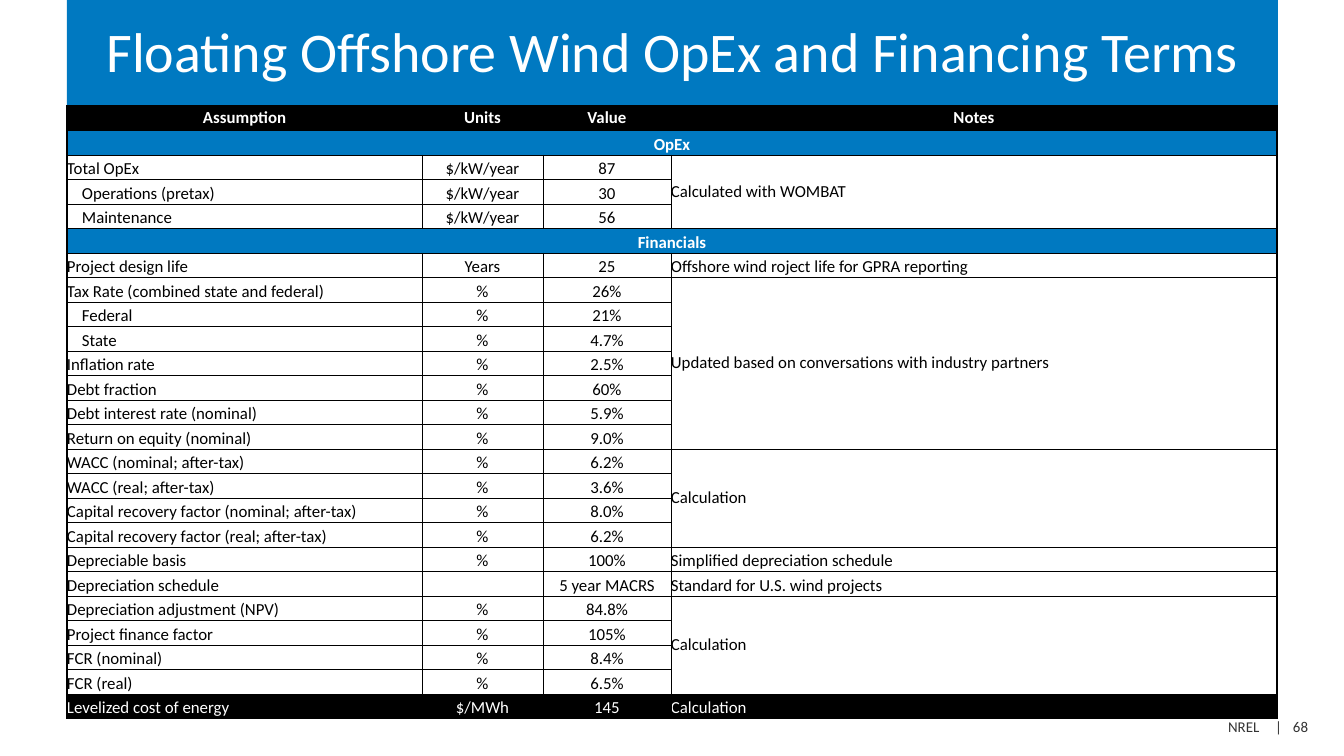
from lxml import etree
from pptx import Presentation, util as u
from pptx.dml.color import RGBColor
from pptx.enum import text
from pptx.oxml import ns

FONT = "Calibri"
BLUE, BLACK, WHITE, GREY = "0079C1", "000000", "FFFFFF", "333333"
LEFT, CENTER, RIGHT = text.PP_ALIGN.LEFT, text.PP_ALIGN.CENTER, text.PP_ALIGN.RIGHT
MIDDLE, BOTTOM = text.MSO_ANCHOR.MIDDLE, text.MSO_ANCHOR.BOTTOM

COLUMNS = [355, 121, 128, 606]
INDENT = 15
HEADER = ("Assumption", "Units", "Value", "Notes")
TOTAL = ("Levelized cost of energy", "$/MWh", "145", "Calculation")
SUBITEMS = {"Operations (pretax)", "Maintenance", "Federal", "State"}
SECTIONS = [
    ("OpEx", [
        ("Calculated with WOMBAT", [
            ("Total OpEx", "$/kW/year", "87"),
            ("Operations (pretax)", "$/kW/year", "30"),
            ("Maintenance", "$/kW/year", "56"),
        ]),
    ]),
    ("Financials", [
        ("Offshore wind roject life for GPRA reporting", [
            ("Project design life", "Years", "25"),
        ]),
        ("Updated based on conversations with industry partners", [
            ("Tax Rate (combined state and federal)", "%", "26%"),
            ("Federal", "%", "21%"),
            ("State", "%", "4.7%"),
            ("Inflation rate", "%", "2.5%"),
            ("Debt fraction", "%", "60%"),
            ("Debt interest rate (nominal)", "%", "5.9%"),
            ("Return on equity (nominal)", "%", "9.0%"),
        ]),
        ("Calculation", [
            ("WACC (nominal; after-tax)", "%", "6.2%"),
            ("WACC (real; after-tax)", "%", "3.6%"),
            ("Capital recovery factor (nominal; after-tax)", "%", "8.0%"),
            ("Capital recovery factor (real; after-tax)", "%", "6.2%"),
        ]),
        ("Simplified depreciation schedule", [
            ("Depreciable basis", "%", "100%"),
        ]),
        ("Standard for U.S. wind projects", [
            ("Depreciation schedule", "", "5 year MACRS"),
        ]),
        ("Calculation", [
            ("Depreciation adjustment (NPV)", "%", "84.8%"),
            ("Project finance factor", "%", "105%"),
            ("FCR (nominal)", "%", "8.4%"),
            ("FCR (real)", "%", "6.5%"),
        ]),
    ]),
]


def px(n):
    return u.Emu(round(n * 914400 / 134.4))


def color(value):
    return RGBColor.from_string(value)


def add_run(p, words, size, fill, bold=False):
    r = p.add_run()
    r.text = words
    r.font.name = FONT
    r.font.size = u.Pt(size)
    r.font.bold = bold
    r.font.color.rgb = color(fill)


def set_margins(item, left, top, right, bottom):
    item.margin_left, item.margin_top = px(left), px(top)
    item.margin_right, item.margin_bottom = px(right), px(bottom)


def add_title(s, x, y, w, h):
    sp = s.shapes.title
    sp.left, sp.top, sp.width, sp.height = px(x), px(y), px(w), px(h)
    sp.fill.solid()
    sp.fill.fore_color.rgb = color(BLUE)
    tf = sp.text_frame
    tf.word_wrap = True
    tf.auto_size = text.MSO_AUTO_SIZE.NONE
    tf.vertical_anchor = MIDDLE
    set_margins(tf, 13, 17, 13, 7)
    p = tf.paragraphs[0]
    p.alignment = CENTER
    p.line_spacing = u.Pt(28)
    add_run(p, "Floating Offshore Wind OpEx and Financing Terms", 30, WHITE)


def add_footer(s, x, y, w, h):
    tf = s.shapes.add_textbox(px(x), px(y), px(w), px(h)).text_frame
    tf.word_wrap = True
    tf.vertical_anchor = MIDDLE
    set_margins(tf, 242, 7, 0, 7)
    p = tf.paragraphs[0]
    tabs = etree.SubElement(p._p.get_or_add_pPr(), ns.qn("a:tabLst"))
    for stop in (47, 65):
        etree.SubElement(tabs, ns.qn("a:tab"), pos=str(px(stop)), algn="l")
    add_run(p, "NREL\t|\t68", 8, GREY)


def set_borders(cell, weights):
    tc_pr = cell._tc.get_or_add_tcPr()
    for side, weight in zip("LRTB", weights):
        ln = etree.SubElement(tc_pr, ns.qn(f"a:ln{side}"), w=str(u.Pt(weight)))
        fill = etree.SubElement(ln, ns.qn("a:solidFill"))
        etree.SubElement(fill, ns.qn("a:srgbClr"), val=BLACK)


def fill_cell(cell, words, align, anchor=BOTTOM, ink=BLACK, fill=None, bold=False):
    cell.vertical_anchor = anchor
    cell.margin_left = px(INDENT if words in SUBITEMS else 0)
    if fill:
        cell.fill.solid()
        cell.fill.fore_color.rgb = color(fill)
    p = cell.text_frame.paragraphs[0]
    p.alignment = align
    if words:
        add_run(p, words, 9, ink, bold)


def prepare_cells(tbl):
    last_row, last_col = len(tbl.rows) - 1, len(tbl.columns) - 1
    for i in range(last_row + 1):
        for j in range(last_col + 1):
            cell = tbl.cell(i, j)
            end = j + cell.span_width - 1 if cell.is_merge_origin else j
            edges = (j == 0, end == last_col, i == 0, i == last_row)
            set_borders(cell, [1 if edge else 0.5 for edge in edges])
            set_margins(cell, 0, 0, 0, 0)
            cell.fill.background()
            p = cell.text_frame.paragraphs[0]
            etree.SubElement(p._p, ns.qn("a:endParaRPr"), sz="900")


def merge_cells(tbl):
    row = 1
    for _, groups in SECTIONS:
        tbl.cell(row, 0).merge(tbl.cell(row, 3))
        row += 1
        for _, items in groups:
            if len(items) > 1:
                tbl.cell(row, 3).merge(tbl.cell(row + len(items) - 1, 3))
            row += len(items)


def add_assumptions(s, x, y, w, h):
    count = 2 + sum(1 + sum(len(items) for _, items in groups)
                    for _, groups in SECTIONS)
    tbl = s.shapes.add_table(count, len(COLUMNS), px(x), px(y), px(w), px(h)).table
    tbl.first_row = tbl.horz_banding = False
    for column, width in zip(tbl.columns, COLUMNS):
        column.width = px(width)
    for r in tbl.rows:
        r.height = px(h / count)
    merge_cells(tbl)
    prepare_cells(tbl)

    aligns = (LEFT, CENTER, CENTER, LEFT)
    for j, words in enumerate(HEADER):
        fill_cell(tbl.cell(0, j), words, CENTER, MIDDLE, WHITE, BLACK, True)
    row = 1
    for heading, groups in SECTIONS:
        fill_cell(tbl.cell(row, 0), heading, CENTER, BOTTOM, WHITE, BLUE, True)
        row += 1
        for note, items in groups:
            anchor = MIDDLE if len(items) > 1 else BOTTOM
            fill_cell(tbl.cell(row, 3), note, LEFT, anchor)
            for item in items:
                for j, words in enumerate(item):
                    fill_cell(tbl.cell(row, j), words, aligns[j])
                row += 1
    for j, words in enumerate(TOTAL):
        fill_cell(tbl.cell(row, j), words, aligns[j], BOTTOM, WHITE, BLACK)


def main():
    prs = Presentation()
    prs.slide_width, prs.slide_height = px(1344), px(756)
    s = prs.slides.add_slide(prs.slide_layouts[5])
    add_footer(s, 986, 711, 335, 32)
    add_title(s, 67, 0, 1211, 106)
    add_assumptions(s, 67, 106, sum(COLUMNS), 613)
    prs.save("out.pptx")


if __name__ == "__main__":
    main()
